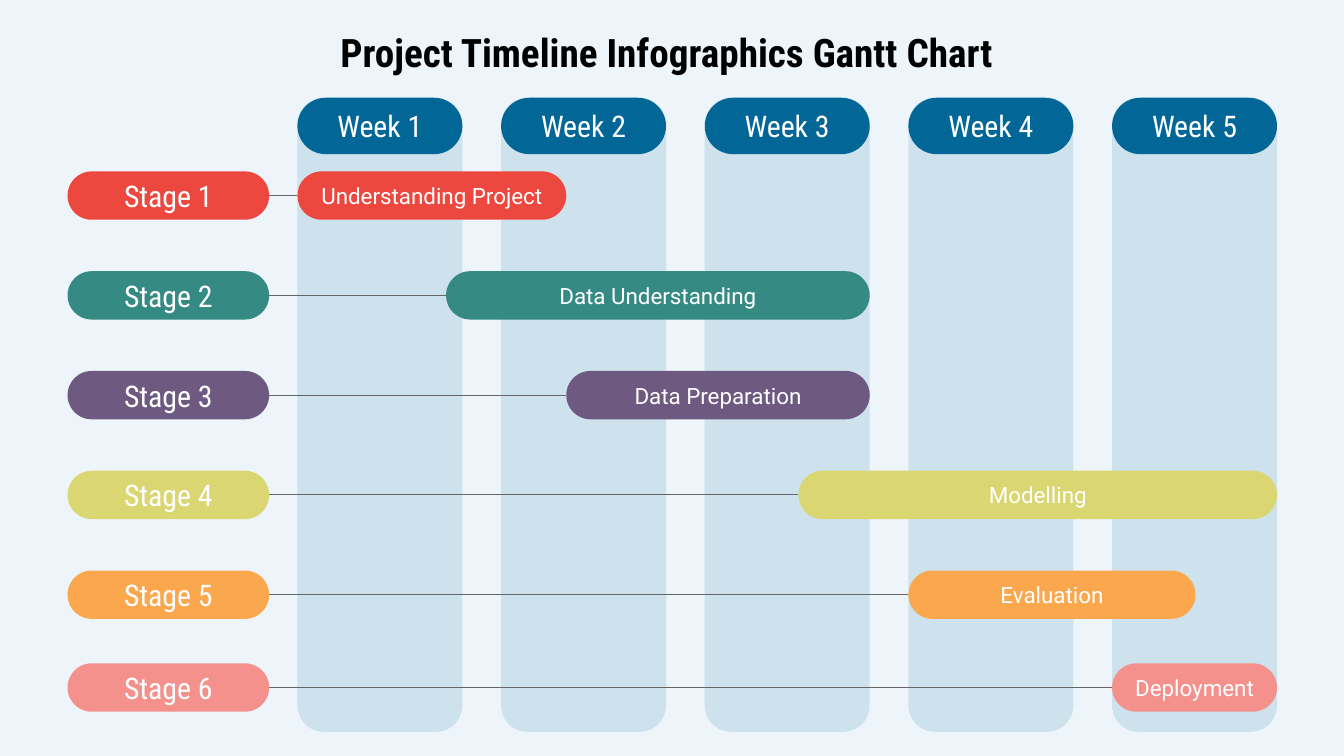
from collections import namedtuple

from lxml import etree
from pptx import Presentation
from pptx import util as u
from pptx.dml.color import RGBColor
from pptx.enum import shapes, text
from pptx.oxml.ns import qn

Box = namedtuple("Box", "x y w h")
Stage = namedtuple("Stage", "task color row start end")

BACKGROUND = RGBColor(0xED, 0xF5, 0xFB)
BLUE = RGBColor(0x02, 0x67, 0x96)
GREY = RGBColor(0x66, 0x66, 0x66)
BLACK = RGBColor(0x00, 0x00, 0x00)
WHITE = RGBColor(0xFF, 0xFF, 0xFF)
RED = RGBColor(0xED, 0x48, 0x40)
TEAL = RGBColor(0x35, 0x8A, 0x84)
PURPLE = RGBColor(0x6E, 0x59, 0x81)
YELLOW = RGBColor(0xDA, 0xD6, 0x71)
ORANGE = RGBColor(0xFA, 0xA7, 0x4D)
PINK = RGBColor(0xF4, 0x91, 0x8C)

HEADING_FONT = "Roboto Condensed"
BODY_FONT = "Roboto"
WEEKS = 5
WEEK_PITCH = 2.02
WEEK_SHARE = 0.81
ROW_PITCH = 0.99
BAR_HEIGHT = 0.48

STAGES = [
    Stage("Understanding Project", RED, 0, 0, 1.32),
    Stage("Data Understanding", TEAL, 1, 0.73, 2.81),
    Stage("Data Preparation", PURPLE, 2, 1.32, 2.81),
    Stage("Modelling", YELLOW, 3, 2.46, 4.81),
    Stage("Evaluation", ORANGE, 4, 3, 4.41),
    Stage("Deployment", PINK, 4.93, 4, 4.81),
]


def inches(box):
    """Return the box's four lengths as slide units."""
    return [u.Inches(v) for v in box]


def write(sp, words, size=16, font=BODY_FONT, color=WHITE, bold=False):
    """Put centred, formatted text in a shape."""
    tf = sp.text_frame
    tf.word_wrap = True
    tf.vertical_anchor = text.MSO_ANCHOR.MIDDLE
    tf.margin_left = tf.margin_right = u.Inches(0.13)
    tf.margin_top = tf.margin_bottom = u.Inches(0.13)
    p = tf.paragraphs[0]
    p.alignment = text.PP_ALIGN.CENTER
    r = p.add_run()
    r.text = words
    r.font.size = u.Pt(size)
    r.font.name = font
    r.font.bold = bold
    r.font.color.rgb = color


def rounded(s, box, color, corner=0.5, opacity=100):
    """Draw a rounded rectangle without an outline."""
    sp = s.shapes.add_shape(shapes.MSO_SHAPE.ROUNDED_RECTANGLE, *inches(box))
    sp.adjustments[0] = corner
    sp.shadow.inherit = False
    sp.line.fill.background()
    sp.fill.solid()
    sp.fill.fore_color.rgb = color
    if opacity < 100:
        rgb = sp.fill._xPr.find(".//" + qn("a:srgbClr"))
        etree.SubElement(rgb, qn("a:alpha"), val=str(opacity * 1000))
    return sp


def link(s, x1, x2, y):
    """Draw a thin horizontal line from a stage label to its bar."""
    cx = s.shapes.add_connector(
        shapes.MSO_CONNECTOR.STRAIGHT,
        u.Inches(x1), u.Inches(y), u.Inches(x2), u.Inches(y))
    cx.line.color.rgb = GREY
    cx.line.width = u.Pt(0.75)
    etree.SubElement(cx._element.spPr, qn("a:effectLst"))


def title(s, box):
    """Write the slide title across the box."""
    sp = s.shapes.add_textbox(*inches(box))
    write(sp, "Project Timeline Infographics Gantt Chart",
          size=28, font=HEADING_FONT, color=BLACK, bold=True)


def week_columns(s, box):
    """Draw one pale column with a heading pill for each week."""
    width = WEEK_PITCH * WEEK_SHARE
    for i in range(WEEKS):
        x = box.x + i * WEEK_PITCH
        rounded(s, Box(x, box.y, width, box.h), BLUE, corner=0.16, opacity=13)
        pill = rounded(s, Box(x, box.y, width, 0.56), BLUE)
        write(pill, f"Week {i + 1}", size=21.3, font=HEADING_FONT)


def stage_rows(s, labels, chart):
    """Draw each stage's label, its bar on the week grid and their link."""
    for number, stage in enumerate(STAGES, 1):
        y = labels.y + stage.row * ROW_PITCH
        start = chart.x + stage.start * WEEK_PITCH
        length = (stage.end - stage.start) * WEEK_PITCH
        link(s, labels.x + labels.w, start, y + BAR_HEIGHT / 2)
        bar = rounded(s, Box(start, y, length, BAR_HEIGHT), stage.color)
        write(bar, stage.task)
        label = rounded(s, Box(labels.x, y, labels.w, BAR_HEIGHT), stage.color)
        write(label, f"Stage {number}", size=21.3, font=HEADING_FONT)


def main():
    """Build the Gantt chart slide and save it."""
    prs = Presentation()
    prs.slide_width, prs.slide_height = u.Inches(13.33), u.Inches(7.5)
    s = prs.slides.add_slide(prs.slide_layouts[6])
    s.background.fill.solid()
    s.background.fill.fore_color.rgb = BACKGROUND
    chart = Box(2.95, 0.97, WEEKS * WEEK_PITCH, 6.29)
    week_columns(s, chart)
    title(s, Box(0.61, 0.24, 12, 0.54))
    stage_rows(s, Box(0.67, 1.7, 2, 5.36), chart)
    prs.save("out.pptx")


if __name__ == "__main__":
    main()
